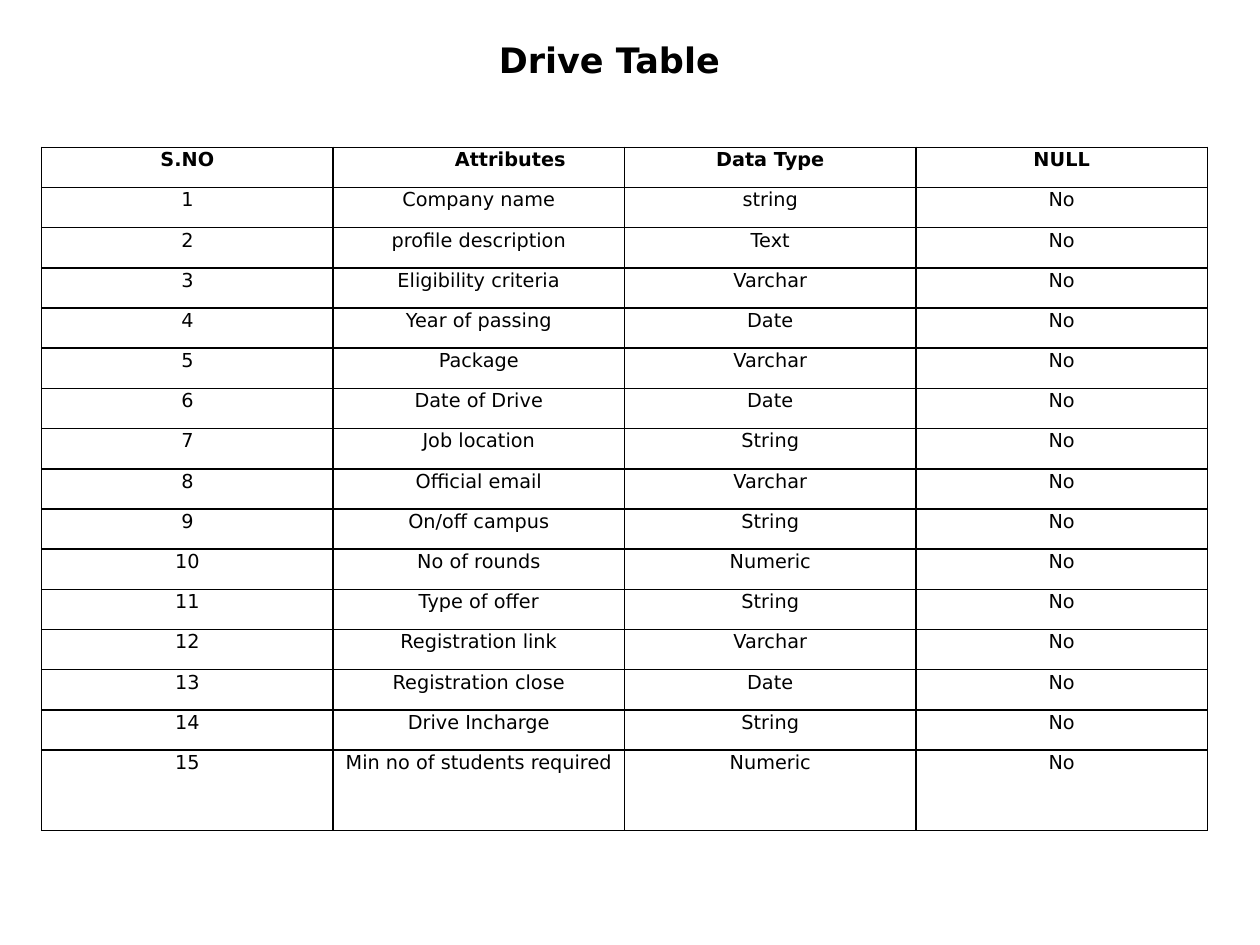
from dataclasses import dataclass
from typing import Any

from lxml.etree import SubElement
from pptx import Presentation
from pptx.dml.color import RGBColor
from pptx.enum.text import MSO_ANCHOR, PP_ALIGN
from pptx.oxml.ns import qn
from pptx.util import Cm, Pt

BLACK = RGBColor(0x00, 0x00, 0x00)
FONT_NAME = "DejaVu Sans"
TITLE_FORMAT = {"name": FONT_NAME, "size": Pt(20), "bold": True}
HEADER_FORMAT = {"name": FONT_NAME, "size": Pt(11), "bold": True}
BODY_FORMAT = {**HEADER_FORMAT, "bold": False}
CELL_FORMAT = {
    "margin_left": Cm(0.18),
    "margin_right": Cm(0.18),
    "margin_top": 0,
    "margin_bottom": 0,
    "vertical_anchor": MSO_ANCHOR.TOP,
}
ROW_HEIGHT = Cm(0.81)
TABLE_WIDTH = Cm(23.5)
HEADERS = ("S.NO", "Attributes", "Data Type", "NULL")
HEADER_INDENT = Cm(1.27)


@dataclass
class Attribute:
    name: str
    data_type: str
    null: str = "No"


ATTRIBUTES = [
    Attribute("Company name", "string"),
    Attribute("profile description", "Text"),
    Attribute("Eligibility criteria", "Varchar"),
    Attribute("Year of passing", "Date"),
    Attribute("Package", "Varchar"),
    Attribute("Date of Drive", "Date"),
    Attribute("Job location", "String"),
    Attribute("Official email", "Varchar"),
    Attribute("On/off campus", "String"),
    Attribute("No of rounds", "Numeric"),
    Attribute("Type of offer", "String"),
    Attribute("Registration link", "Varchar"),
    Attribute("Registration close", "Date"),
    Attribute("Drive Incharge", "String"),
    Attribute("Min no of students required", "Numeric"),
]


def apply_format(target: Any, values: dict[str, Any]) -> None:
    for name, value in values.items():
        setattr(target, name, value)


def write_text(paragraph: Any, text: str, font_format: dict[str, Any]) -> None:
    paragraph.alignment = PP_ALIGN.CENTER
    run = paragraph.add_run()
    run.text = text
    apply_format(run.font, font_format)
    run.font.color.rgb = BLACK


def add_borders(cell: Any) -> None:
    properties = cell._tc.get_or_add_tcPr()
    for side in ("a:lnL", "a:lnR", "a:lnT", "a:lnB"):
        line = SubElement(properties, qn(side), w=str(Pt(1)))
        fill = SubElement(line, qn("a:solidFill"))
        SubElement(fill, qn("a:srgbClr"), val=str(BLACK))


def fill_cell(cell: Any, text: str, font_format: dict[str, Any]) -> None:
    apply_format(cell, CELL_FORMAT)
    add_borders(cell)
    cell.fill.background()
    paragraph = cell.text_frame.paragraphs[0]
    paragraph.line_spacing = 1.07
    write_text(paragraph, text, font_format)


def add_title(slide: Any, text: str) -> None:
    title = slide.shapes.title
    apply_format(title, {"left": Cm(5.72), "top": Cm(0.64),
                         "width": Cm(13.13), "height": Cm(1.12)})
    title.text_frame.vertical_anchor = MSO_ANCHOR.MIDDLE
    write_text(title.text_frame.paragraphs[0], text, TITLE_FORMAT)


def add_attribute_table(slide: Any, attributes: list[Attribute]) -> None:
    rows = [HEADERS] + [
        (str(number), item.name, item.data_type, item.null)
        for number, item in enumerate(attributes, start=1)
    ]
    # The last row is twice as high as the others
    height = ROW_HEIGHT * (len(rows) + 1)
    table = slide.shapes.add_table(
        len(rows), len(HEADERS), Cm(0.84), Cm(2.97), TABLE_WIDTH, height
    ).table
    table.horz_banding = False
    for column in table.columns:
        column.width = TABLE_WIDTH // len(HEADERS)
    for row in table.rows:
        row.height = ROW_HEIGHT
    table.rows[len(rows) - 1].height = ROW_HEIGHT * 2

    for row_index, values in enumerate(rows):
        font_format = BODY_FORMAT if row_index else HEADER_FORMAT
        for column_index, text in enumerate(values):
            fill_cell(table.cell(row_index, column_index), text, font_format)

    # First-line indent of the "Attributes" heading
    heading = table.cell(0, HEADERS.index("Attributes")).text_frame.paragraphs[0]
    heading._p.get_or_add_pPr().set("indent", str(HEADER_INDENT))


def main() -> None:
    presentation = Presentation()
    presentation.slide_width = Cm(25.4)
    presentation.slide_height = Cm(19.05)
    title_only = presentation.slide_layouts.get_by_name("Title Only")
    slide = presentation.slides.add_slide(title_only)
    add_title(slide, "Drive Table")
    add_attribute_table(slide, ATTRIBUTES)
    presentation.save("out.pptx")


if __name__ == "__main__":
    main()
